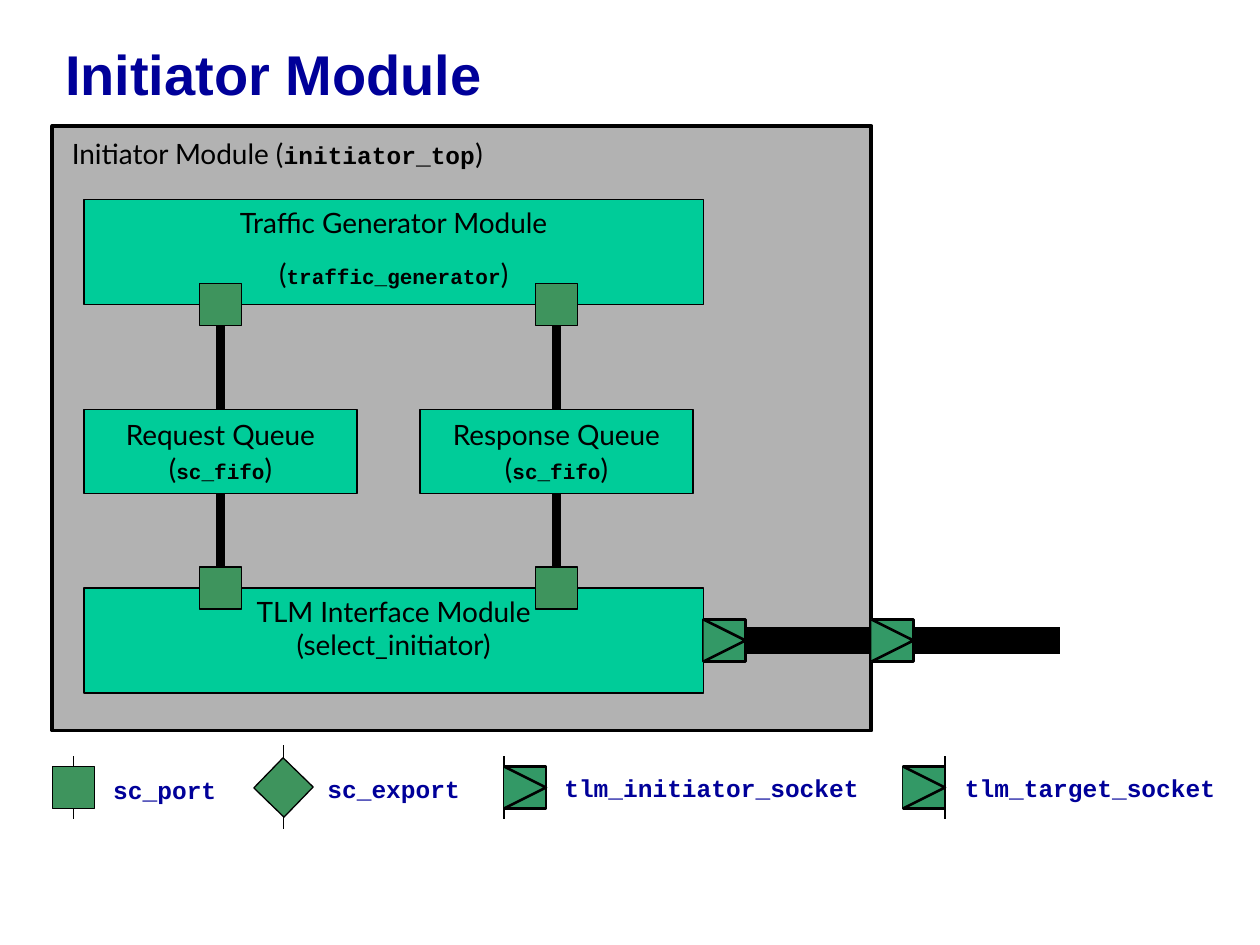
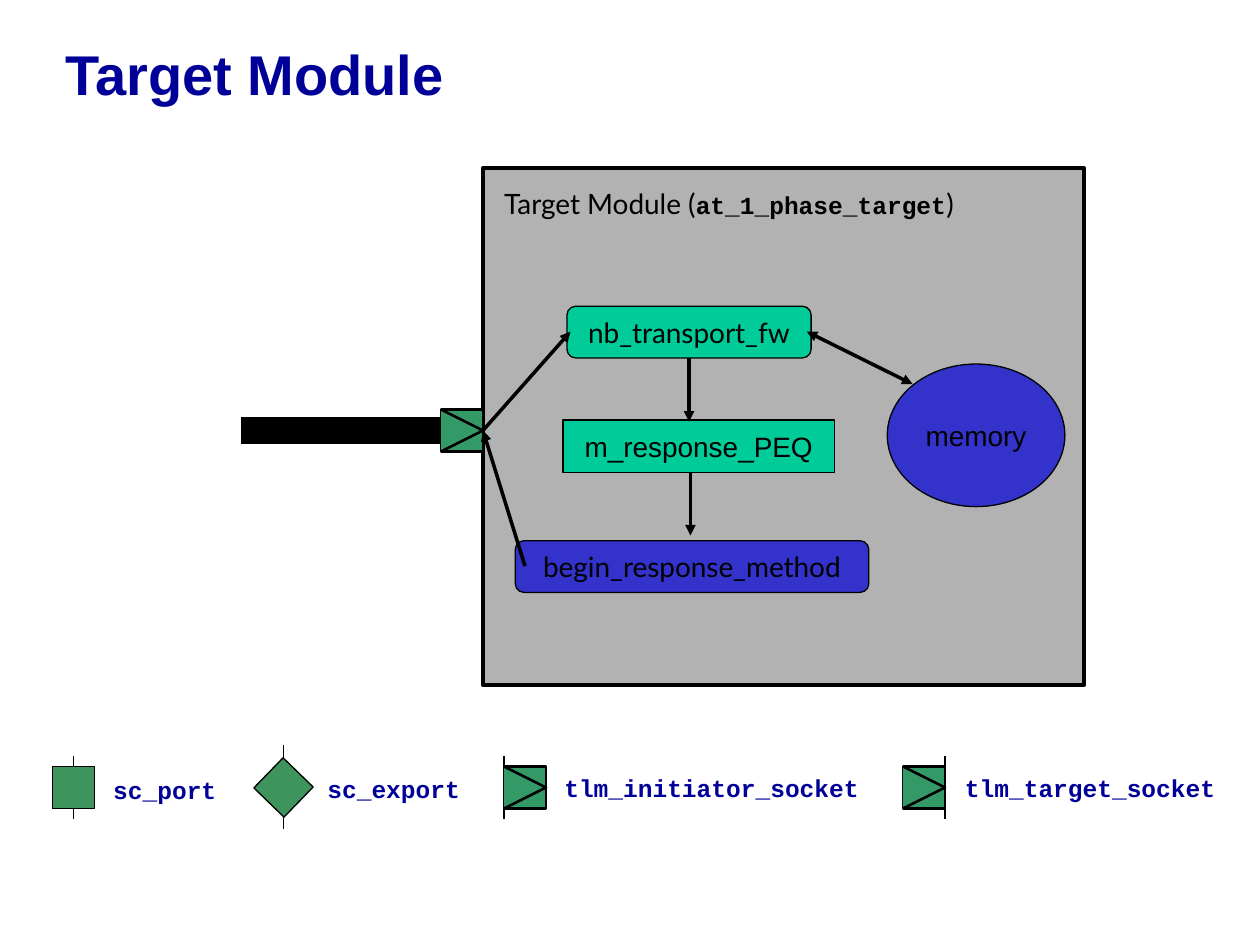
from lxml.etree import SubElement
from pptx import Presentation
from pptx.dml.color import RGBColor
from pptx.enum.shapes import MSO_CONNECTOR as Connector, MSO_SHAPE as Shape
from pptx.enum.text import MSO_ANCHOR as Anchor, MSO_AUTO_SIZE as AutoSize, PP_ALIGN as Align
from pptx.oxml.ns import qn
from pptx.util import Pt

BLACK = RGBColor(0x00, 0x00, 0x00)
NAVY = RGBColor(0x00, 0x00, 0x99)
GREY = RGBColor(0xB2, 0xB2, 0xB2)
MINT = RGBColor(0x00, 0xCC, 0x99)
BLUE = RGBColor(0x33, 0x33, 0xCC)
PORT_GREEN = RGBColor(0x3E, 0x94, 0x5D)
SOCKET_GREEN = RGBColor(0x33, 0x99, 0x66)

TITLE = dict(name="Arial", size=Pt(32), bold=True, color=NAVY)
LATO = dict(name="Lato", size=Pt(16), bold=False, color=BLACK)
ARIAL = dict(LATO, name="Arial")
CODE = dict(name="Courier New", size=Pt(14), bold=True, color=BLACK)
SMALL_CODE = dict(CODE, size=Pt(12))
LEGEND_CODE = dict(CODE, color=NAVY)

TOP, LEFT, BOTTOM, RIGHT = range(4)
ICON = 24  # side of a port or socket
HALF = ICON / 2
THIN, SOCKET_LINE, ARROW_LINE, FRAME_LINE, FIFO_LINE, BUS_LINE = 0.75, 1.5, 2, 2.25, 5, 15

# label, kind of icon, icon left, pin x, pin half length, label left, top and width
LEGEND_TOP = 438
LEGEND = [
    ("tlm_initiator_socket", "socket", 288, 288, 18, 315.4, 438, 183),
    ("tlm_target_socket", "socket", 516, 540, 18, 544.3, 438, 157.7),
    ("sc_port", "port", 30, 42, 18, 57.6, 439.2, 73.4),
    ("sc_export", "export", 150, 162, 24, 180, 438.5, 90),
]


def with_code(name, style):
    """Spans for a code name in plain round brackets."""
    return [("(", LATO), (name, style), (")", LATO)]


# Initiator slide
MODULE_LEFT, MODULE_WIDTH, MODULE_HEIGHT = 48, 354, 60
TRAFFIC_TOP, QUEUE_TOP, INTERFACE_TOP = 114, 234, 336
QUEUE_WIDTH, QUEUE_HEIGHT = 156, 48
TRAFFIC_TEXT = [[("Traffic Generator Module", LATO)], with_code("traffic_generator", SMALL_CODE)]
INTERFACE_TEXT = [[("TLM Interface Module", LATO)], [("(select_initiator)", LATO)]]
QUEUES = [("Request Queue", 48), ("Response Queue", 240)]
BUS_END = 606

# Target slide
TARGET_SOCKET = (252, 234)
TARGET_BUS_START = 138
STEPS = {
    "nb_transport_fw": (Shape.ROUNDED_RECTANGLE, (324, 175, 139.5, 29.5), MINT, LATO),
    "begin_response_method": (Shape.ROUNDED_RECTANGLE, (294.5, 309, 202, 29.5), BLUE, LATO),
    "memory": (Shape.OVAL, (507, 208, 101.5, 81.5), BLUE, ARIAL),
    "m_response_PEQ": (Shape.RECTANGLE, (321.8, 240, 155, 30), MINT, ARIAL),
}


def points(values):
    return [Pt(value) for value in values]


def write(frame, paragraphs, align=Align.LEFT, gap=0, spacing=None):
    """Fill a text frame with paragraphs of (text, style) spans."""
    for index, spans in enumerate(paragraphs):
        para = frame.paragraphs[0] if index == 0 else frame.add_paragraph()
        para.alignment = align
        para.space_before = Pt(gap if index else 0)
        if spacing:
            para.line_spacing = spacing
        for text, style in spans:
            span = para.add_run()
            span.text = text
            for key, value in style.items():
                if key == "color":
                    span.font.color.rgb = value
                else:
                    setattr(span.font, key, value)


def paint(shape, fill, width):
    shape.shadow.inherit = False
    shape.fill.solid()
    shape.fill.fore_color.rgb = fill
    shape.line.color.rgb = BLACK
    shape.line.width = Pt(width)
    return shape


def add_box(shapes, kind, place, fill, width=THIN, paragraphs=(), anchor=Anchor.MIDDLE, gap=0):
    box = paint(shapes.add_shape(kind, *points(place)), fill, width)
    if paragraphs:
        box.text_frame.word_wrap = False
        box.text_frame.vertical_anchor = anchor
        write(box.text_frame, paragraphs, Align.CENTER, gap)
    return box


def add_label(shapes, place, spans, wrap=False, spacing=None):
    frame = shapes.add_textbox(*points(place)).text_frame
    frame.word_wrap = wrap
    frame.auto_size = AutoSize.SHAPE_TO_FIT_TEXT
    write(frame, [spans], spacing=spacing)


def add_line(shapes, begin, end, width, heads=()):
    """Each end is an (x, y) point or a (shape, side) to join."""
    starts = [point if isinstance(point[0], (int, float)) else (0, 0) for point in (begin, end)]
    line = shapes.add_connector(Connector.STRAIGHT, *points(starts[0] + starts[1]))
    for point, join in ((begin, line.begin_connect), (end, line.end_connect)):
        if not isinstance(point[0], (int, float)):
            join(*point)
    line.line.color.rgb = BLACK
    line.line.width = Pt(width)
    outline = line.line._get_or_add_ln()
    for head in heads:
        SubElement(outline, qn("a:" + head), type="triangle")
    SubElement(line._element.spPr, qn("a:effectLst"))


def add_port(shapes, left, top):
    return add_box(shapes, Shape.RECTANGLE, (left, top, ICON, ICON), PORT_GREEN)


def add_export(shapes, left, top):
    add_port(shapes, left, top).rotation = 44.1


def add_socket(shapes, left, top):
    """Draw a square with an open wedge and return the square."""
    parts = shapes.add_group_shape().shapes
    square = add_box(parts, Shape.RECTANGLE, (left, top, ICON, ICON), SOCKET_GREEN, SOCKET_LINE)
    outline = parts.build_freeform(Pt(left), Pt(top))
    tips = [(left + ICON, top + HALF), (left, top + ICON)]
    outline.add_line_segments([points(tip) for tip in tips], close=False)
    paint(outline.convert_to_shape(), SOCKET_GREEN, SOCKET_LINE)
    return square


ICONS = {"port": add_port, "export": add_export, "socket": add_socket}


def add_legend(page):
    parts = page.shapes.add_group_shape().shapes
    middle = LEGEND_TOP + HALF
    for name, kind, left, pin, reach, label_left, label_top, label_width in LEGEND:
        add_label(parts, (label_left, label_top, label_width, 24.5), [(name, LEGEND_CODE)])
        add_line(parts, (pin, middle - reach), (pin, middle + reach), THIN)
        ICONS[kind](parts, left, LEGEND_TOP)


def add_page(deck, text):
    page = deck.slides.add_slide(deck.slide_layouts[5])
    title = page.shapes.title
    title.left, title.top, title.width, title.height = points((30, 0, 684, 90))
    title.text_frame.vertical_anchor = Anchor.MIDDLE
    title.text_frame.auto_size = AutoSize.NONE
    write(title.text_frame, [[(text, TITLE)]], spacing=0.85)
    add_legend(page)
    return page.shapes


def add_frame(shapes, place, label_place, text, code, spacing=None):
    add_box(shapes, Shape.RECTANGLE, place, GREY, FRAME_LINE)
    spans = [(text + " (", LATO), (code, CODE), (")", LATO)]
    add_label(shapes, label_place, spans, wrap=True, spacing=spacing)


def build_initiator(deck):
    shapes = add_page(deck, "Initiator Module")
    add_frame(shapes, (30, 72, 468, 345.5), (34, 78, 416, 23),
              "Initiator Module", "initiator_top", spacing=0.8)
    for top, paragraphs, gap in ((TRAFFIC_TOP, TRAFFIC_TEXT, 10), (INTERFACE_TOP, INTERFACE_TEXT, 0)):
        place = (MODULE_LEFT, top, MODULE_WIDTH, MODULE_HEIGHT)
        add_box(shapes, Shape.RECTANGLE, place, MINT, THIN, paragraphs, Anchor.TOP, gap)
    for name, left in QUEUES:
        paragraphs = [[(name, LATO)], with_code("sc_fifo", SMALL_CODE)]
        place = (left, QUEUE_TOP, QUEUE_WIDTH, QUEUE_HEIGHT)
        queue = add_box(shapes, Shape.RECTANGLE, place, MINT, THIN, paragraphs)
        port_left = left + QUEUE_WIDTH / 2 - HALF
        upper = add_port(shapes, port_left, TRAFFIC_TOP + MODULE_HEIGHT - HALF)
        lower = add_port(shapes, port_left, INTERFACE_TOP - HALF)
        add_line(shapes, (queue, TOP), (upper, BOTTOM), FIFO_LINE)
        add_line(shapes, (queue, BOTTOM), (lower, TOP), FIFO_LINE)
    socket_top = INTERFACE_TOP + MODULE_HEIGHT / 2 - HALF
    inner, outer = [add_socket(shapes, left, socket_top) for left in (402, 498)]
    add_line(shapes, (inner, RIGHT), (outer, LEFT), BUS_LINE)
    add_line(shapes, (outer, RIGHT), (BUS_END, socket_top + HALF), BUS_LINE)


def build_target(deck):
    shapes = add_page(deck, "Target Module")
    add_frame(shapes, (276, 96, 343.5, 295.5), (281, 103, 327.5, 26.5),
              "Target Module", "at_1_phase_target")
    socket = add_socket(shapes, *TARGET_SOCKET)
    add_line(shapes, (socket, LEFT), (TARGET_BUS_START, TARGET_SOCKET[1] + HALF), BUS_LINE)
    steps = {}
    for name, (kind, place, fill, style) in STEPS.items():
        steps[name] = add_box(shapes, kind, place, fill, THIN, [[(name, style)]])
    transport = steps["nb_transport_fw"]
    arrows = [
        ((transport, BOTTOM), (393.75, 241), ["tailEnd"]),
        ((394.5, 270), (394.5, 306), ["tailEnd"]),
        ((socket, RIGHT), (326, 189.5), ["tailEnd"]),
        ((461, 189.5), (521.5, 219.5), ["headEnd", "tailEnd"]),
        ((300, 323.5), (socket, RIGHT), ["tailEnd"]),
    ]
    for begin, end, heads in arrows:
        add_line(shapes, begin, end, ARROW_LINE, heads)


def main():
    deck = Presentation()
    deck.slide_width, deck.slide_height = Pt(720), Pt(540)
    build_initiator(deck)
    build_target(deck)
    deck.save("out.pptx")


if __name__ == "__main__":
    main()
